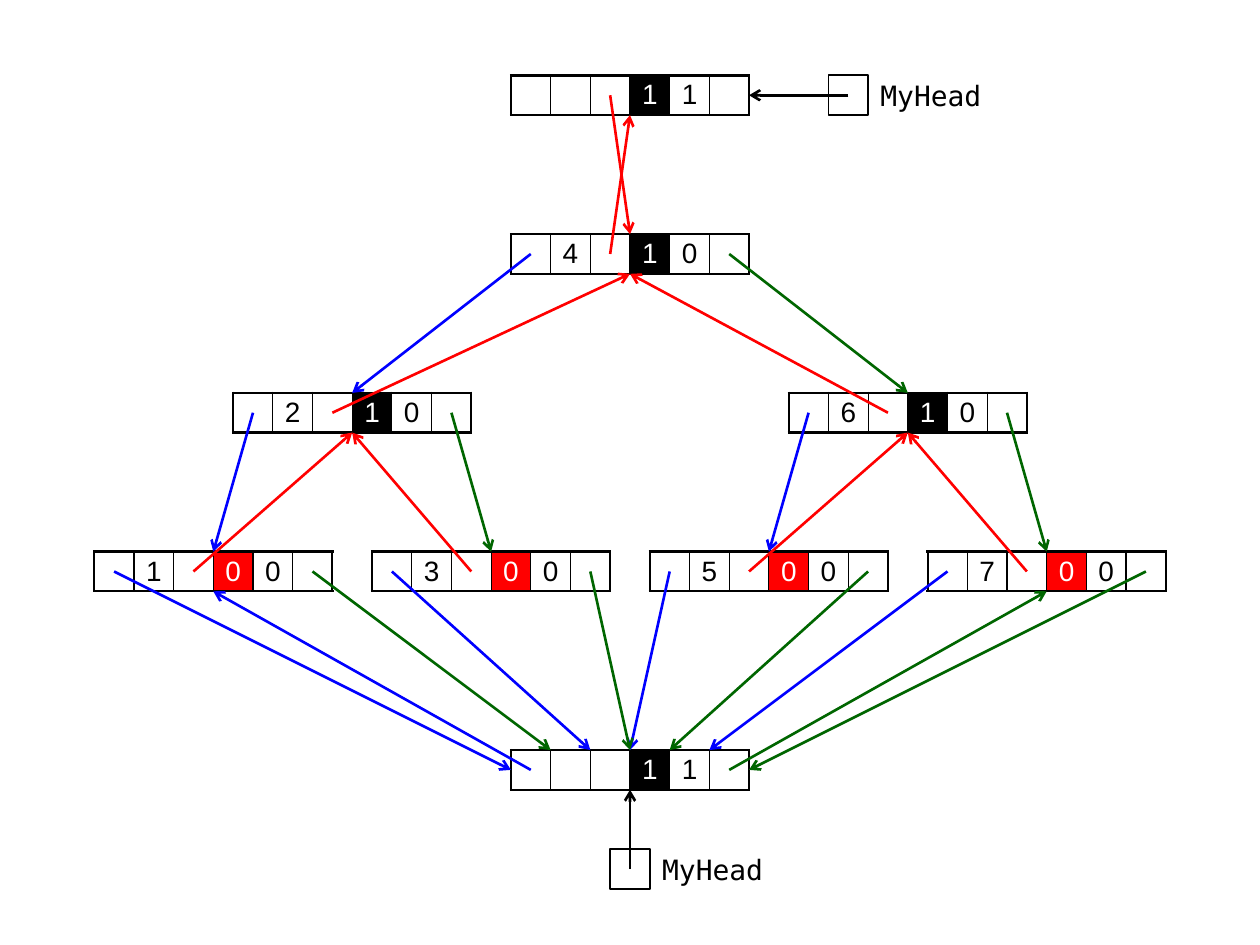
from lxml.etree import SubElement
from pptx import Presentation
from pptx.dml.color import RGBColor
from pptx.enum.shapes import MSO_CONNECTOR as Connector, MSO_SHAPE as Shape
from pptx.enum.text import MSO_ANCHOR as Anchor, PP_ALIGN as Align
from pptx.oxml import parse_xml
from pptx.oxml.ns import nsdecls, qn
from pptx.util import Inches, Pt

BLACK = RGBColor(0, 0, 0)
WHITE = RGBColor(255, 255, 255)
RED = RGBColor(255, 0, 0)
BLUE = RGBColor(0, 0, 255)
GREEN = RGBColor(0, 102, 0)

SCALE = 7200  # EMU in one px
CELL = 40
LABEL_WIDTH = 140

# name: (left, top, key, colour flag, colour, head flag)
NODES = {
    "top head": (515, 76, "", "1", BLACK, "1"),
    "four": (515, 236, "4", "1", BLACK, "0"),
    "two": (235, 396, "2", "1", BLACK, "0"),
    "six": (795, 396, "6", "1", BLACK, "0"),
    "one": (95, 556, "1", "0", RED, "0"),
    "three": (375, 556, "3", "0", RED, "0"),
    "five": (655, 556, "5", "0", RED, "0"),
    "seven": (935, 556, "7", "0", RED, "0"),
    "bottom head": (515, 756, "", "1", BLACK, "1"),
}

# pointer: (column that holds it, arrow colour)
POINTERS = {"left": (0, BLUE), "parent": (2, RED), "right": (5, GREEN)}

# points on the edge of a node, in cells from its top left corner
TOP, BOTTOM = (3, 0), (3, 1)
LEFT_SIDE, RIGHT_SIDE = (0, 0.5), (6, 0.5)

LINKS = [
    ("four", "left", "two", TOP),
    ("four", "right", "six", TOP),
    ("two", "right", "three", TOP),
    ("six", "left", "five", TOP),
    ("six", "parent", "four", BOTTOM),
    ("two", "parent", "four", BOTTOM),
    ("bottom head", "left", "one", BOTTOM),
    ("four", "parent", "top head", BOTTOM),
    ("bottom head", "right", "seven", BOTTOM),
    ("top head", "parent", "four", TOP),
    ("five", "right", "bottom head", (4, 0)),
    ("two", "left", "one", TOP),
    ("six", "right", "seven", TOP),
    ("three", "left", "bottom head", (2, 0)),
    ("five", "left", "bottom head", TOP),
    ("seven", "parent", "six", BOTTOM),
    ("three", "right", "bottom head", TOP),
    ("seven", "right", "bottom head", RIGHT_SIDE),
    ("three", "parent", "two", BOTTOM),
    ("five", "parent", "six", BOTTOM),
    ("seven", "left", "bottom head", (5, 0)),
    ("one", "parent", "two", BOTTOM),
    ("one", "left", "bottom head", LEFT_SIDE),
    ("one", "right", "bottom head", (1, 0)),
]

# (left, top, label, node pointed at, point on its edge)
HEADS = [
    (835, 76, "MyHead", "top head", RIGHT_SIDE),
    (615, 856, "MyHead", "bottom head", BOTTOM),
]


def px(*lengths):
    return [round(length * SCALE) for length in lengths]


def add_text(paragraph, text, font_name, color):
    run = paragraph.add_run()
    run.text = text
    run.font.size = Pt(16)
    run.font.name = font_name
    run.font.color.rgb = color


def set_borders(cell, widths):
    """Give the cell black borders; widths are points by side: L, R, T, B."""
    properties = cell._tc.get_or_add_tcPr()
    for position, (side, width) in enumerate(widths.items()):
        properties.insert(position, parse_xml(
            f'<a:ln{side} {nsdecls("a")} w="{Pt(width)}"><a:solidFill>'
            f'<a:srgbClr val="{BLACK}"/></a:solidFill></a:ln{side}>'))


def add_node(slide, left, top, key, flag, flag_color, head_flag):
    texts = ["", key, "", flag, head_flag, ""]
    count = len(texts)
    frame = slide.shapes.add_table(1, count, *px(left, top, count * CELL, CELL))
    table = frame.table
    table.first_row = table.horz_banding = False
    for column, text in enumerate(texts):
        table.columns[column].width = px(CELL)[0]
        cell = table.cell(0, column)
        cell.margin_left = cell.margin_right = 0
        cell.margin_top = cell.margin_bottom = 0
        cell.vertical_anchor = Anchor.MIDDLE
        is_flag = column == 3
        if is_flag:
            cell.fill.solid()
            cell.fill.fore_color.rgb = flag_color
        else:
            cell.fill.background()
        set_borders(cell, {
            "L": 1.5 if column == 0 else 0.75,
            "R": 1.5 if column == count - 1 else 0.75,
            "T": 1.5,
            "B": 1.5,
        })
        if text:
            paragraph = cell.text_frame.paragraphs[0]
            paragraph.alignment = Align.CENTER
            add_text(paragraph, text, "Arial", WHITE if is_flag else BLACK)


def add_arrow(slide, start, end, color):
    arrow = slide.shapes.add_connector(Connector.STRAIGHT, *px(*start, *end))
    arrow.line.color.rgb = color
    arrow.line.width = Pt(1.5)
    SubElement(arrow.line._get_or_add_ln(), qn("a:tailEnd"), type="arrow")
    SubElement(arrow._element.spPr, qn("a:effectLst"))


def add_head_box(slide, left, top, label):
    box = slide.shapes.add_shape(Shape.RECTANGLE, *px(left, top, CELL, CELL))
    box.shadow.inherit = False
    box.fill.solid()
    box.fill.fore_color.rgb = WHITE
    box.line.color.rgb = BLACK
    box.line.width = Pt(1)
    text_box = slide.shapes.add_textbox(*px(left + CELL, top, LABEL_WIDTH, CELL))
    text_frame = text_box.text_frame
    text_frame.word_wrap = True
    text_frame.vertical_anchor = Anchor.MIDDLE
    add_text(text_frame.paragraphs[0], label, "DejaVu Sans Mono", BLACK)


def node_point(name, offset):
    left, top = NODES[name][:2]
    return left + offset[0] * CELL, top + offset[1] * CELL


def main():
    presentation = Presentation()
    presentation.slide_width = Inches(10)
    presentation.slide_height = Inches(7.5)
    slide = presentation.slides.add_slide(presentation.slide_layouts[6])

    for node in NODES.values():
        add_node(slide, *node)
    for source, pointer, target, edge in LINKS:
        column, color = POINTERS[pointer]
        start = node_point(source, (column + 0.5, 0.5))
        add_arrow(slide, start, node_point(target, edge), color)
    for left, top, label, target, edge in HEADS:
        add_head_box(slide, left, top, label)
        center = (left + CELL / 2, top + CELL / 2)
        add_arrow(slide, center, node_point(target, edge), BLACK)

    presentation.save("out.pptx")


if __name__ == "__main__":
    main()
